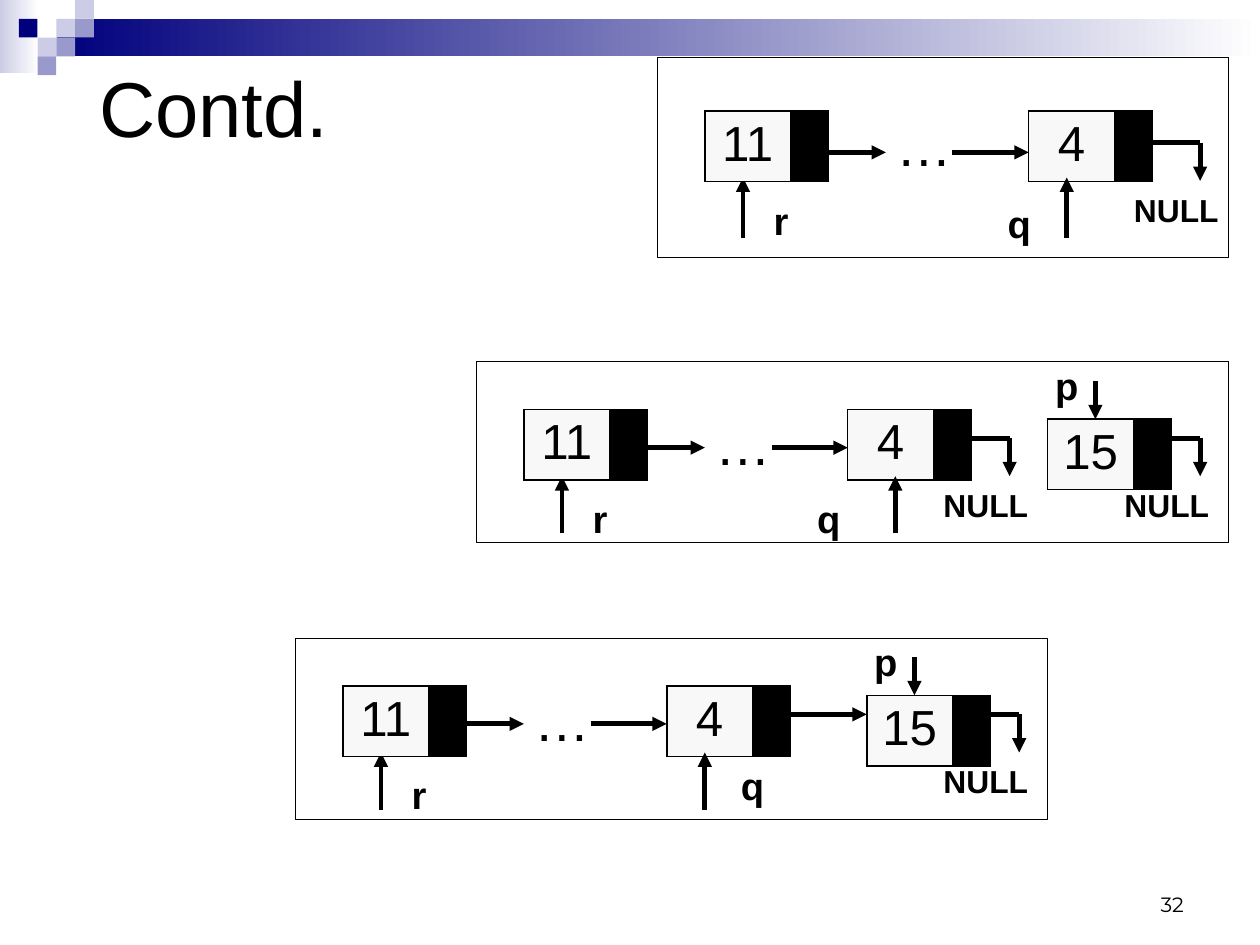
from lxml import etree
from pptx import Presentation
from pptx.dml.color import RGBColor
from pptx.enum.shapes import MSO_CONNECTOR, MSO_SHAPE
from pptx.enum.text import MSO_ANCHOR, PP_ALIGN
from pptx.oxml.ns import qn
from pptx.util import Cm, Inches, Pt

RECT, STRAIGHT = MSO_SHAPE.RECTANGLE, MSO_CONNECTOR.STRAIGHT
TOP, MIDDLE, BOTTOM = MSO_ANCHOR.TOP, MSO_ANCHOR.MIDDLE, MSO_ANCHOR.BOTTOM
LEFT, CENTER, RIGHT = PP_ALIGN.LEFT, PP_ALIGN.CENTER, PP_ALIGN.RIGHT

COLORS = {"ink": "000000", "paper": "FFFFFF", "cell": "F8F8F8",
          "navy": "00007D", "lilac": "CCCCE6", "violet": "9999CC"}
UNITS_PER_INCH = 12
COLS = 132.28


def grid(n):
    return Inches(n / UNITS_PER_INCH)


def rgb(name):
    return RGBColor.from_string(COLORS[name])


def write(tf, text, size=24, font="Arial", bold=False, align=CENTER, color="ink"):
    p = tf.paragraphs[0]
    p.alignment = align
    r = p.add_run()
    r.text = text
    r.font.name, r.font.size, r.font.bold = font, Pt(size), bold
    r.font.color.rgb = rgb(color)


class Board:
    """Draws list diagrams on a slide, in grid units measured from an origin."""

    def __init__(self, s):
        self.s = s
        self.origin = (0, 0)

    def place(self, x, y):
        return grid(self.origin[0] + x), grid(self.origin[1] + y)

    def rect(self, x, y, w, h, fill=None, fade=False, line=None):
        sp = self.s.shapes.add_shape(RECT, *self.place(x, y), grid(w), grid(h))
        sp.shadow.inherit = False
        if fade:
            sp.fill.gradient()
            sp.fill.gradient_angle = 0
            for stop, name in zip(sp.fill.gradient_stops, (fill, "paper")):
                stop.color.rgb = rgb(name)
        elif fill:
            sp.fill.solid()
            sp.fill.fore_color.rgb = rgb(fill)
        else:
            sp.fill.background()
        if line:
            sp.line.color.rgb = rgb(line)
            sp.line.width = Pt(0.75)
        else:
            sp.line.fill.background()

    def text(self, x, y, w, h, text, anchor=TOP, inset=(0, 0), **style):
        sp = self.s.shapes.add_textbox(*self.place(x, y), grid(w), grid(h))
        tf = sp.text_frame
        tf.word_wrap = True
        tf.vertical_anchor = anchor
        tf.margin_left = tf.margin_right = Inches(inset[0])
        tf.margin_top = tf.margin_bottom = Inches(inset[1])
        write(tf, text, **style)

    def line(self, x1, y1, x2, y2, arrow=True):
        c = self.s.shapes.add_connector(STRAIGHT, *self.place(x1, y1), *self.place(x2, y2))
        c.line.color.rgb = rgb("ink")
        c.line.width = Pt(3)
        spPr = c._element.spPr
        if arrow:
            etree.SubElement(spPr.find(qn("a:ln")), qn("a:tailEnd"), type="triangle")
        etree.SubElement(spPr, qn("a:effectLst"))

    def border(self, cell, side, width):
        tcPr = cell._tc.get_or_add_tcPr()
        ln = etree.SubElement(tcPr, qn(f"a:ln{side}"), w=str(Pt(width)))
        fill = etree.SubElement(ln, qn("a:solidFill"))
        etree.SubElement(fill, qn("a:srgbClr"), val=COLORS["ink"])

    def node(self, x, y, value, h=7):
        frame = self.s.shapes.add_table(1, 2, *self.place(x, y), grid(13), grid(h))
        table = frame.table
        table.first_row = table.horz_banding = False
        for i, (w, fill, inner) in enumerate(((9, "cell", "R"), (4, "ink", "L"))):
            table.columns[i].width = grid(w)
            cell = table.cell(0, i)
            for side in "LRTB":
                self.border(cell, side, 0.45 if side == inner else 1.08)
            cell.fill.solid()
            cell.fill.fore_color.rgb = rgb(fill)
            cell.margin_top = cell.margin_bottom = Inches(0.05)
        write(table.cell(0, 0).text_frame, value, size=31)

    def label(self, x, y, name):
        self.text(x, y, 8, 4.8, name, bold=True)

    def null_link(self, x, label_x):
        self.line(x, 8, x + 6, 8, arrow=False)
        self.line(x + 6, 8, x + 6, 12)
        self.text(label_x, 13, 11, 4, "NULL", size=20, bold=True)

    def linked_list(self, origin, q_arrow, q_label, top=5.0, node_h=7, r_top=14.0):
        self.origin = origin
        foot = top + 7
        self.line(9, 18, 9, foot)
        self.node(5, top, "11", node_h)
        self.line(16, 9, 24, 9)
        self.label(9, r_top, "r")
        self.node(39, top, "4", node_h)
        self.text(24, top, 8, 7, "…", size=35)
        self.line(31, 9, 39, 9)
        self.line(q_arrow, 18, q_arrow, foot)
        self.label(*q_label, "q")

    def new_node(self):
        self.node(60, 6, "15", 6.2)
        self.label(58, 0, "p")
        self.line(65, 2, 65, 6)
        self.null_link(70, 67)

    def header(self):
        self.rect(0, 0, 4.1, 7.7, "lilac", fade=True)
        self.rect(6, 2, COLS - 6, 3.9, "navy", fade=True)
        for col, row, fill in ((3, 1, "lilac"), (4, 0, "lilac"), (4, 1, "violet"),
                               (2, 2, "lilac"), (1, 1, "navy"), (3, 2, "violet"),
                               (2, 3, "violet")):
            self.rect(col * 1.97, row * 1.97, 1.97, 1.97, fill)


def main():
    prs = Presentation()
    prs.slide_width = Cm(28)
    prs.slide_height = Cm(21)
    s = prs.slides.add_slide(prs.slide_layouts[6])
    board = Board(s)
    board.header()
    board.text(94.8, 90.4, 30.8, 6.6, "32", anchor=BOTTOM, inset=(0.11, 0.06),
               size=13, font="Montserrat", align=RIGHT)
    board.text(0, 5.6, 125, 11.2, "Contd.", anchor=MIDDLE, inset=(0.87, 0.06),
               size=49, align=LEFT)

    board.rect(69, 6, 60, 21, line="ink")
    board.rect(50, 38, 79, 19, line="ink")
    board.rect(31, 67, 79, 19, line="ink")

    board.linked_list((69, 7), 43, (34, 14), top=4.65, node_h=7.3, r_top=13.75)
    board.null_link(51, 49)

    board.linked_list((50, 38), 44, (33, 14))
    board.null_link(50, 48)
    board.new_node()

    board.linked_list((31, 67), 43, (44, 13))
    board.new_node()
    board.line(51, 8, 60, 8)

    prs.save("out.pptx")


if __name__ == "__main__":
    main()
